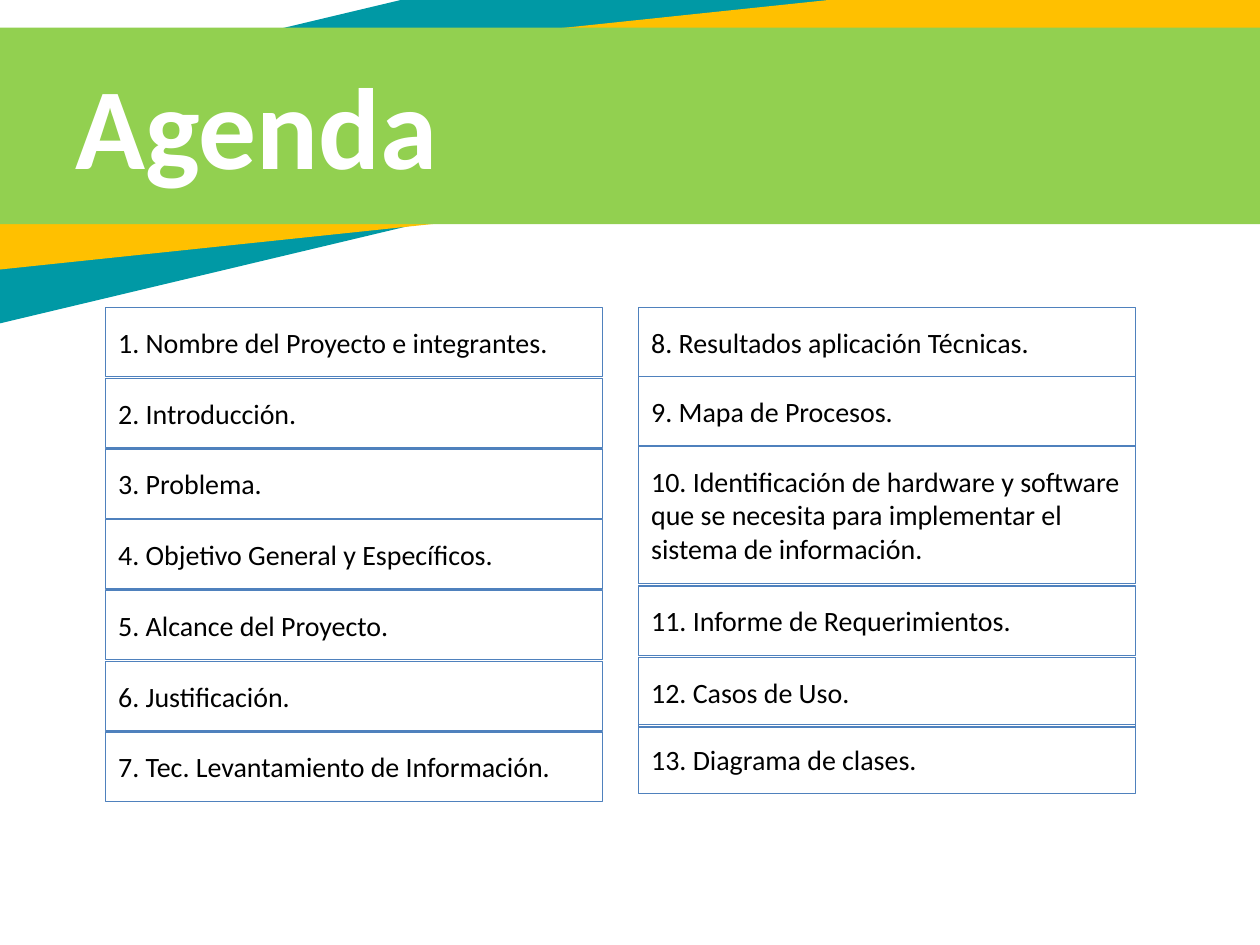
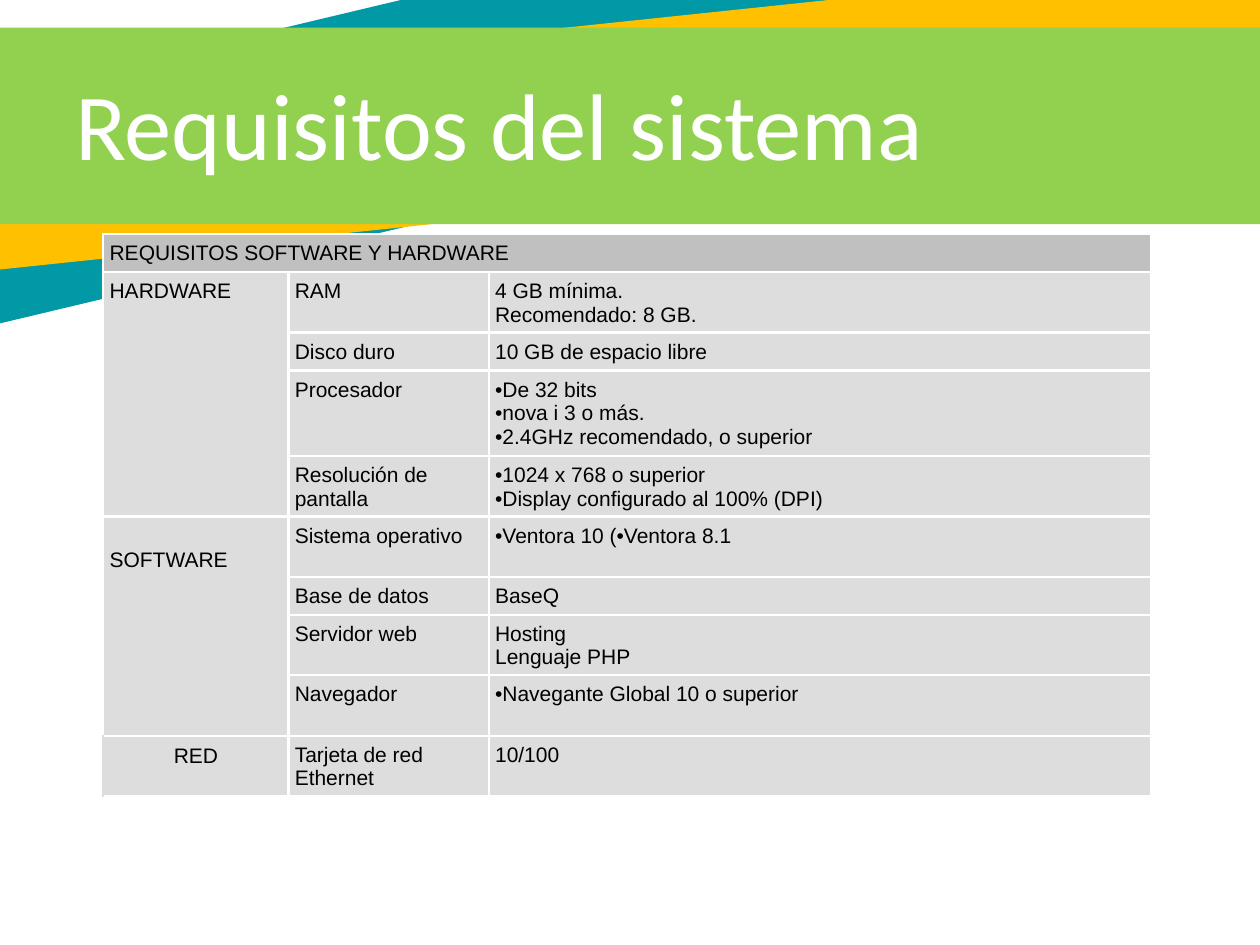
import pptx
import pptx.dml.color
import pptx.enum.shapes
import pptx.enum.text
import pptx.oxml.ns
import pptx.util
from lxml import etree

Inches = pptx.util.Inches
Pt = pptx.util.Pt
RGBColor = pptx.dml.color.RGBColor
MIDDLE = pptx.enum.text.MSO_ANCHOR.MIDDLE
TOP = pptx.enum.text.MSO_ANCHOR.TOP
LEFT = pptx.enum.text.PP_ALIGN.LEFT
CENTER = pptx.enum.text.PP_ALIGN.CENTER

TEAL = RGBColor(0x00, 0x99, 0xA5)
AMBER = RGBColor(0xFF, 0xC0, 0x00)
GREEN = RGBColor(0x92, 0xD0, 0x50)
WHITE = RGBColor(0xFF, 0xFF, 0xFF)
BLACK = RGBColor(0x00, 0x00, 0x00)
BOX_BLUE = RGBColor(0x4F, 0x81, 0xBD)
HEADER_GRAY = RGBColor(0xC0, 0xC0, 0xC0)
CELL_GRAY = RGBColor(0xDD, 0xDD, 0xDD)

# Bands behind every title: left, top, width, height, rotation, colour
BANDS = [
    (-2.49, -0.18, 13.06, 1.76, 346.6, TEAL),
    (-1.1, 0.2, 11.63, 1.44, 354, AMBER),
    (-1.06, 0.22, 11.63, 1.56, 0, GREEN),
]

# Agenda content: the right column also gives each box's top
AGENDA_LEFT = [
    "1. Nombre del Proyecto e integrantes.",
    "2. Introducción.",
    "3. Problema.",
    "4. Objetivo General y Específicos.",
    "5. Alcance del Proyecto.",
    "6. Justificación.",
    "7. Tec. Levantamiento de Información.",
]
AGENDA_RIGHT = [
    (2.44, ["8. Resultados aplicación Técnicas."]),
    (2.99, ["9. Mapa de Procesos."]),
    (3.54, ["10. Identificación de hardware y software",
            "que se necesita para implementar el",
            "sistema de información."]),
    (4.65, ["11. Informe de Requerimientos."]),
    (5.22, ["12. Casos de Uso."]),
    (5.75, ["13. Diagrama de clases."]),
]
AGENDA_TOP, AGENDA_BOTTOM_TOP = 2.44, 5.81
BOX_WIDTH, BOX_HEIGHT, TALL_BOX_HEIGHT = 3.94, 0.55, 1.09

# Requirements content: group, then (item, detail lines, lines the row holds)
TABLE_HEADING = "REQUISITOS SOFTWARE Y HARDWARE"
REQUIREMENTS = [
    ("HARDWARE", [
        ("RAM", ["4 GB mínima.", "Recomendado: 8 GB."], 2),
        ("Disco duro", ["10 GB de espacio libre"], 1),
        ("Procesador", ["•De 32 bits", "•nova i 3 o más.",
                        "•2.4GHz recomendado, o superior"], 3),
        ("Resolución de pantalla", ["•1024 x 768 o superior",
                                    "•Display configurado al 100% (DPI)"], 2),
    ]),
    ("SOFTWARE", [
        ("Sistema operativo", ["•Ventora 10 (•Ventora 8.1"], 2),
        ("Base de datos", ["BaseQ"], 1),
        ("Servidor web", ["Hosting", "Lenguaje PHP"], 2),
        ("Navegador", ["•Navegante Global 10 o superior"], 2),
    ]),
    ("RED", [
        ("Tarjeta de red Ethernet", ["10/100"], 2),
    ]),
]
COLUMN_WIDTHS = [1.47, 1.59, 5.26]
ROW_HEIGHTS = {1: 0.3, 2: 0.48, 3: 0.67}
SIDE_MARGIN, TOP_MARGIN, BOTTOM_MARGIN = 0.05, 0.06, 0.02
GROUP_TOP_MARGINS = {"SOFTWARE": 0.25, "RED": 0.07}


def write_lines(text_frame, lines, font_name, size, color, bold=False, align=LEFT):
    for index, line in enumerate(lines):
        paragraph = text_frame.paragraphs[0] if index == 0 else text_frame.add_paragraph()
        paragraph.alignment = align
        run = paragraph.add_run()
        run.text = line
        run.font.name = font_name
        run.font.size = Pt(size)
        run.font.bold = bold
        run.font.color.rgb = color


def add_rectangle(slide, left, top, width, height):
    shape = slide.shapes.add_shape(
        pptx.enum.shapes.MSO_SHAPE.RECTANGLE,
        Inches(left), Inches(top), Inches(width), Inches(height))
    shape.shadow.inherit = False
    return shape


def add_titled_slide(presentation, title, width, size, bold=False):
    slide = presentation.slides.add_slide(presentation.slide_layouts[6])
    for left, top, band_width, height, rotation, color in BANDS:
        band = add_rectangle(slide, left, top, band_width, height)
        band.rotation = rotation
        band.fill.solid()
        band.fill.fore_color.rgb = color
        band.line.fill.background()
    title_box = slide.shapes.add_textbox(
        Inches(0.5), Inches(0.49), Inches(width), Inches(0.97))
    title_box.text_frame.word_wrap = True
    title_box.text_frame.vertical_anchor = MIDDLE
    write_lines(title_box.text_frame, [title], "Calibri", size, WHITE, bold)
    return slide


def add_agenda_box(slide, left, top, lines):
    height = TALL_BOX_HEIGHT if len(lines) > 1 else BOX_HEIGHT
    box = add_rectangle(slide, left, top, BOX_WIDTH, height)
    box.fill.background()
    box.line.color.rgb = BOX_BLUE
    box.line.width = Pt(0.75)
    box.text_frame.word_wrap = True
    box.text_frame.vertical_anchor = MIDDLE
    write_lines(box.text_frame, lines, "Calibri", 16, BLACK)


def set_borders(cell, left_color):
    properties = cell._tc.get_or_add_tcPr()
    for side in "LRTB":
        color = left_color if side == "L" else WHITE
        line = etree.SubElement(
            properties, pptx.oxml.ns.qn(f"a:ln{side}"), w=str(Pt(1.5)))
        fill = etree.SubElement(line, pptx.oxml.ns.qn("a:solidFill"))
        etree.SubElement(fill, pptx.oxml.ns.qn("a:srgbClr"), val=str(color))


def style_cell(cell, color, left_color=WHITE):
    set_borders(cell, left_color)
    cell.fill.solid()
    cell.fill.fore_color.rgb = color
    cell.vertical_anchor = TOP
    cell.margin_left = cell.margin_right = Inches(SIDE_MARGIN)
    cell.margin_top = Inches(TOP_MARGIN)
    cell.margin_bottom = Inches(BOTTOM_MARGIN)


def write_cell(cell, lines, align=LEFT):
    write_lines(cell.text_frame, lines, "Arial", 12, BLACK, align=align)


def build_agenda(presentation):
    slide = add_titled_slide(presentation, "Agenda", 6.58, 66, bold=True)
    step = (AGENDA_BOTTOM_TOP - AGENDA_TOP) / (len(AGENDA_LEFT) - 1)
    for index, text in enumerate(AGENDA_LEFT):
        add_agenda_box(slide, 0.84, AGENDA_TOP + index * step, [text])
    for top, lines in AGENDA_RIGHT:
        add_agenda_box(slide, 5.07, top, lines)


def build_requirements(presentation):
    slide = add_titled_slide(presentation, "Requisitos del sistema", 8.64, 54)
    line_counts = [1] + [count for _, items in REQUIREMENTS for _, _, count in items]
    heights = [ROW_HEIGHTS[count] for count in line_counts]
    table = slide.shapes.add_table(
        len(heights), len(COLUMN_WIDTHS), Inches(0.82), Inches(1.86),
        Inches(sum(COLUMN_WIDTHS)), Inches(sum(heights))).table
    table.first_row = table.horz_banding = False
    for column, width in zip(table.columns, COLUMN_WIDTHS):
        column.width = Inches(width)
    for row, height in zip(table.rows, heights):
        row.height = Inches(height)

    # Heading row
    for cell in table.rows[0].cells:
        style_cell(cell, HEADER_GRAY)
    table.cell(0, 0).merge(table.cell(0, 2))
    write_cell(table.cell(0, 0), [TABLE_HEADING])

    # One merged group cell beside its items
    row_index = 1
    for group, items in REQUIREMENTS:
        group_cell = table.cell(row_index, 0)
        for offset, (item, details, _) in enumerate(items):
            group_part, item_cell, detail_cell = table.rows[row_index + offset].cells
            style_cell(group_part, CELL_GRAY, CELL_GRAY if group == "RED" else WHITE)
            style_cell(item_cell, CELL_GRAY)
            style_cell(detail_cell, CELL_GRAY)
            write_cell(item_cell, [item])
            write_cell(detail_cell, details)
        if len(items) > 1:
            group_cell.merge(table.cell(row_index + len(items) - 1, 0))
        group_cell.margin_top = Inches(GROUP_TOP_MARGINS.get(group, TOP_MARGIN))
        write_cell(group_cell, [group], CENTER if group == "RED" else LEFT)
        row_index += len(items)


def main():
    presentation = pptx.Presentation()
    presentation.slide_width = Inches(10)
    presentation.slide_height = Inches(7.5)
    build_agenda(presentation)
    build_requirements(presentation)
    presentation.save("out.pptx")


if __name__ == "__main__":
    main()
